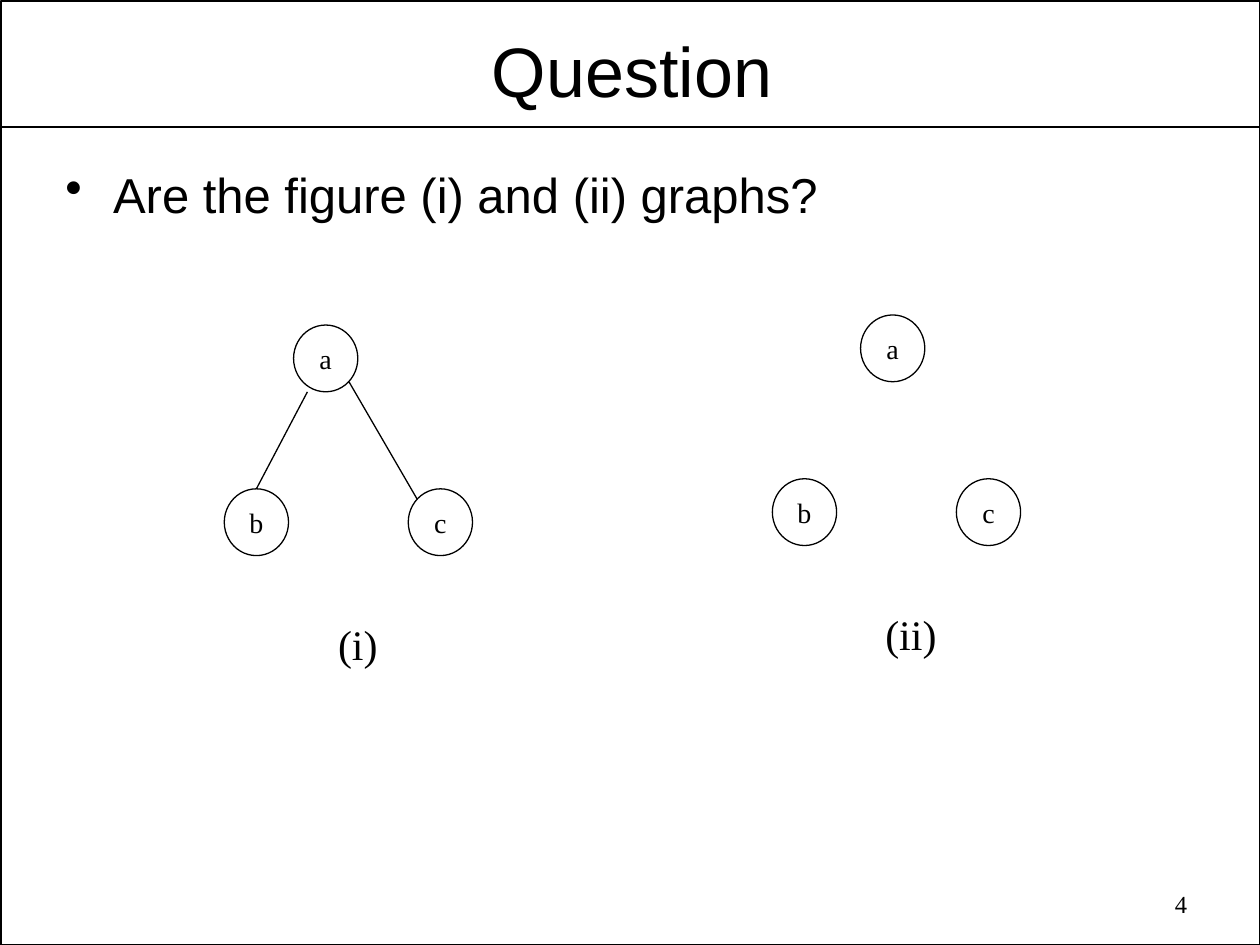
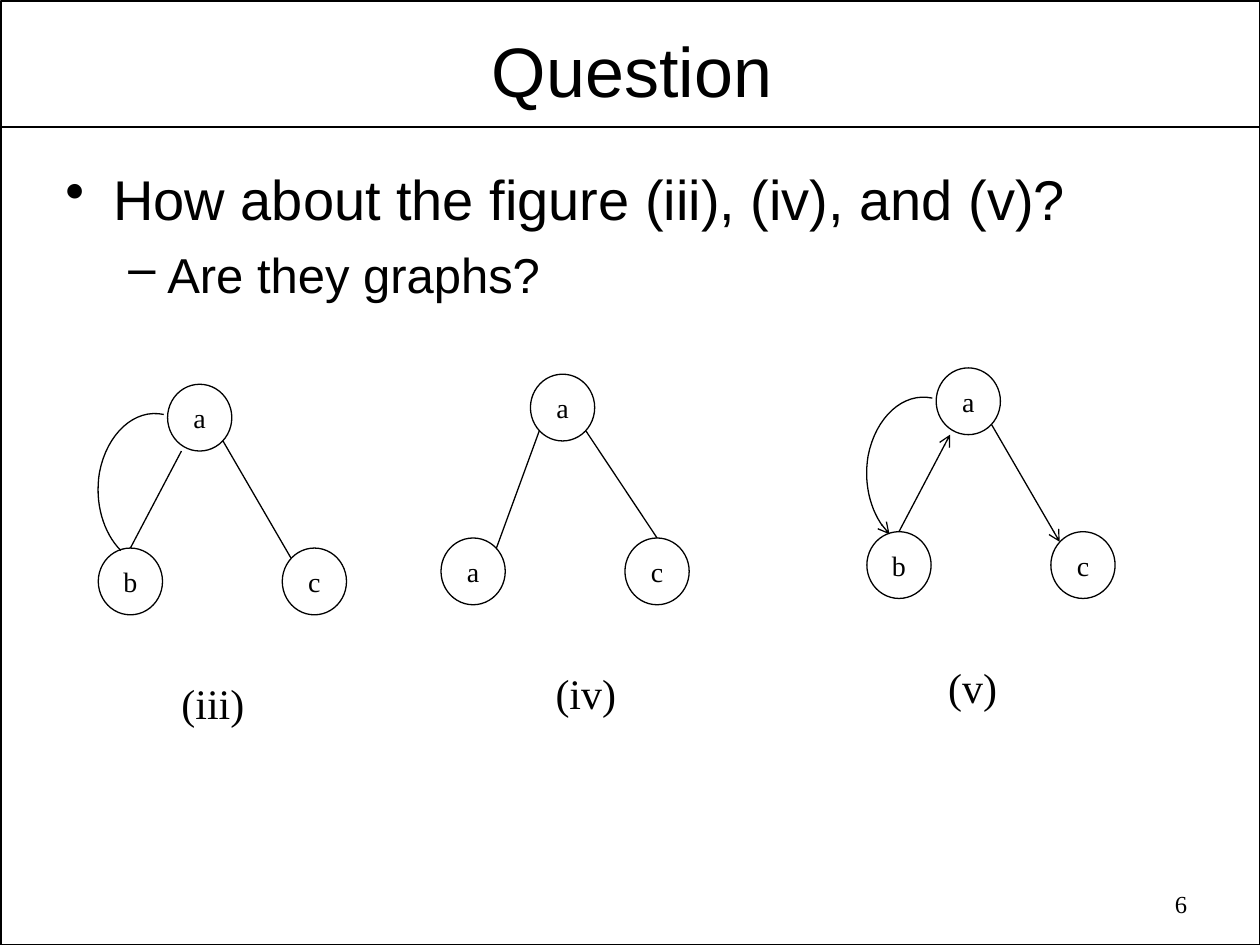
import dataclasses

import lxml.etree
import pptx
import pptx.dml.color
import pptx.enum.shapes
import pptx.enum.text
import pptx.oxml.ns
import pptx.util

PX = 9144  # EMU in one px, 100 px to the inch
ALIGN = pptx.enum.text.PP_ALIGN
ANCHOR = pptx.enum.text.MSO_ANCHOR
SHAPE = pptx.enum.shapes.MSO_SHAPE


@dataclasses.dataclass(frozen=True)
class Theme:
    ink: pptx.dml.color.RGBColor = pptx.dml.color.RGBColor(0, 0, 0)
    heading_font: str = "Arial"
    figure_font: str = "Times New Roman"
    title_size: int = 40
    bullet_size: int = 32
    small_bullet_size: int = 28
    caption_size: int = 24
    node_size: int = 16
    number_size: int = 14
    frame_line: float = 1
    figure_line: float = 0.75


# Node geometry: size and the points where edges meet the circle
NODE_WIDTH, NODE_HEIGHT = 51, 53
ANCHORS = {
    "top": (26, 0),
    "upper left": (7, 8),
    "upper right": (44, 8),
    "lower left": (7, 45),
    "lower right": (44, 45),
    "bottom": (11, 53),
}
ROW_DROP = 130
CAPTION_DROP = 228
CAPTION_WIDTH = 70

# Loop from the top node round to the left node, as two cubic curves
LOOP = [
    [(52, 24), (29, 19), (7, 39), (1, 70)],
    [(1, 70), (-3, 94), (4, 118), (18, 132)],
]


def curve_points(curves, steps=16):
    """Points along a chain of cubic Bezier curves."""
    points = [curves[0][0]]
    for curve in curves:
        for step in range(1, steps + 1):
            t = step / steps
            weights = ((1 - t) ** 3, 3 * t * (1 - t) ** 2, 3 * t * t * (1 - t), t ** 3)
            points.append(tuple(
                sum(weight * point[axis] for weight, point in zip(weights, curve))
                for axis in (0, 1)))
    return points


class SlideBuilder:
    def __init__(self, deck, theme):
        self.deck = deck
        self.theme = theme
        self.page = None

    # Shared styling
    def add_span(self, para, text, size, font):
        span = para.add_run()
        span.text = text
        span.font.size = pptx.util.Pt(size)
        span.font.name = font
        span.font.color.rgb = self.theme.ink

    def outline(self, item, width, arrow=False):
        item.line.color.rgb = self.theme.ink
        item.line.width = pptx.util.Pt(width)
        properties = item.element.spPr
        if arrow:
            line = properties.find(pptx.oxml.ns.qn("a:ln"))
            lxml.etree.SubElement(line, pptx.oxml.ns.qn("a:tailEnd"), type="arrow")
        lxml.etree.SubElement(properties, pptx.oxml.ns.qn("a:effectLst"))

    def text_box(self, left, top, width, height):
        box = self.page.shapes.add_textbox(left * PX, top * PX, width * PX, height * PX)
        box.text_frame.word_wrap = True
        return box.text_frame

    def shape(self, kind, left, top, width, height, line):
        item = self.page.shapes.add_shape(
            kind, left * PX, top * PX, width * PX, height * PX)
        item.fill.background()
        self.outline(item, line)
        return item

    def line(self, start, end, width, arrow=False):
        connector = self.page.shapes.add_connector(
            pptx.enum.shapes.MSO_CONNECTOR.STRAIGHT,
            *(value * PX for value in (*start, *end)))
        self.outline(connector, width, arrow)
        return connector

    # Frame, title and page number
    def start_page(self, title, number):
        self.page = self.deck.slides.add_slide(self.deck.slide_layouts[5])
        self.shape(SHAPE.RECTANGLE, 1, 1, 999, 749, self.theme.frame_line)
        self.line((1, 101), (999, 101), self.theme.frame_line)

        box = self.page.shapes.title
        box.left, box.top, box.width, box.height = (
            value * PX for value in (53, 19, 897, 72))
        frame = box.text_frame
        frame.margin_left = frame.margin_right = 7 * PX
        frame.margin_top = frame.margin_bottom = 3 * PX
        frame.vertical_anchor = ANCHOR.MIDDLE
        frame.auto_size = pptx.enum.text.MSO_AUTO_SIZE.NONE
        frame.paragraphs[0].alignment = ALIGN.CENTER
        self.add_span(frame.paragraphs[0], title, self.theme.title_size,
                      self.theme.heading_font)

        para = self.text_box(718, 701, 234, 36).paragraphs[0]
        para.alignment = ALIGN.RIGHT
        self.add_span(para, str(number), self.theme.number_size,
                      self.theme.figure_font)

    def bullets(self, height, items):
        """Each item is (text, level, size)."""
        frame = self.text_box(42, 126, 917, height)
        for index, (text, level, size) in enumerate(items):
            para = frame.add_paragraph() if index else frame.paragraphs[0]
            para.level = level
            para.space_before = pptx.util.Pt(size // 4)
            mark, margin, hanging = (("•", 38, 38), ("–", 81, 31))[level]
            properties = para._p.get_or_add_pPr()
            properties.set("marL", str(margin * PX))
            properties.set("indent", str(-hanging * PX))
            lxml.etree.SubElement(properties, pptx.oxml.ns.qn("a:buChar"), char=mark)
            self.add_span(para, text, size, self.theme.heading_font)

    # Graph figures
    def node(self, left, top, label):
        circle = self.shape(SHAPE.OVAL, left, top, NODE_WIDTH, NODE_HEIGHT,
                            self.theme.figure_line)
        frame = circle.text_frame
        frame.margin_left = frame.margin_right = 0
        frame.margin_top = frame.margin_bottom = 0
        frame.vertical_anchor = ANCHOR.MIDDLE
        frame.paragraphs[0].alignment = ALIGN.CENTER
        self.add_span(frame.paragraphs[0], label, self.theme.node_size,
                      self.theme.figure_font)
        return circle

    def edge(self, start, start_anchor, end, end_anchor, arrow):
        ends = [
            (circle.left // PX + ANCHORS[anchor][0], circle.top // PX + ANCHORS[anchor][1])
            for circle, anchor in ((start, start_anchor), (end, end_anchor))]
        connector = self.line(*ends, self.theme.figure_line, arrow)
        if start_anchor == "top":
            connector.begin_connect(start, 0)
        if end_anchor == "top":
            connector.end_connect(end, 0)

    def loop(self, left, top, arrow):
        points = [(round((left + x) * PX), round((top + y) * PX))
                  for x, y in curve_points(LOOP)]
        builder = self.page.shapes.build_freeform(*points[0])
        builder.add_line_segments(points[1:], close=False)
        curve = builder.convert_to_shape()
        curve.fill.background()
        self.outline(curve, self.theme.figure_line, arrow)

    def figure(self, caption, left, top, peak, caption_center, labels="abc",
               edges=(), loop=False, arrow=False):
        """A top node, peak px in from the left, over a left and a right node."""
        places = ((peak, 0), (0, ROW_DROP), (146, ROW_DROP))
        nodes = [self.node(left + x, top + y, label)
                 for (x, y), label in zip(places, labels)]
        for start, start_anchor, end, end_anchor in edges:
            self.edge(nodes[start], start_anchor, nodes[end], end_anchor, arrow)
        if loop:
            self.loop(left, top, arrow)
        frame = self.text_box(left + caption_center - CAPTION_WIDTH // 2,
                              top + CAPTION_DROP, CAPTION_WIDTH, 50)
        frame.word_wrap = False
        frame.paragraphs[0].alignment = ALIGN.CENTER
        self.add_span(frame.paragraphs[0], caption, self.theme.caption_size,
                      self.theme.figure_font)


# Edges as (start node, anchor, end node, anchor); nodes 0 top, 1 left, 2 right
TREE_EDGES = [(1, "top", 0, "bottom"), (0, "lower right", 2, "upper left")]
SPREAD_EDGES = [(0, "lower left", 1, "upper right"), (0, "lower right", 2, "top")]


def main():
    deck = pptx.Presentation()
    deck.slide_width = 1000 * PX
    deck.slide_height = 750 * PX
    theme = Theme()
    slides = SlideBuilder(deck, theme)

    # Figures (i) and (ii)
    slides.start_page("Question", 4)
    slides.bullets(74, [
        ("Are the figure (i) and (ii) graphs?", 0, theme.small_bullet_size)])
    slides.figure("(i)", 178, 258, 55, 106, edges=TREE_EDGES)
    slides.figure("(ii)", 613, 250, 70, 110)

    # Figures (iii), (iv) and (v)
    slides.start_page("Question", 6)
    slides.bullets(139, [
        ("How about the figure (iii), (iv), and (v)?", 0, theme.bullet_size),
        ("Are they graphs?", 1, theme.small_bullet_size)])
    slides.figure("(iii)", 78, 305, 55, 91, edges=TREE_EDGES, loop=True)
    slides.figure("(iv)", 350, 297, 71, 115, labels="aac", edges=SPREAD_EDGES)
    slides.figure("(v)", 688, 292, 55, 84, edges=TREE_EDGES, loop=True, arrow=True)

    deck.save("out.pptx")


if __name__ == "__main__":
    main()
